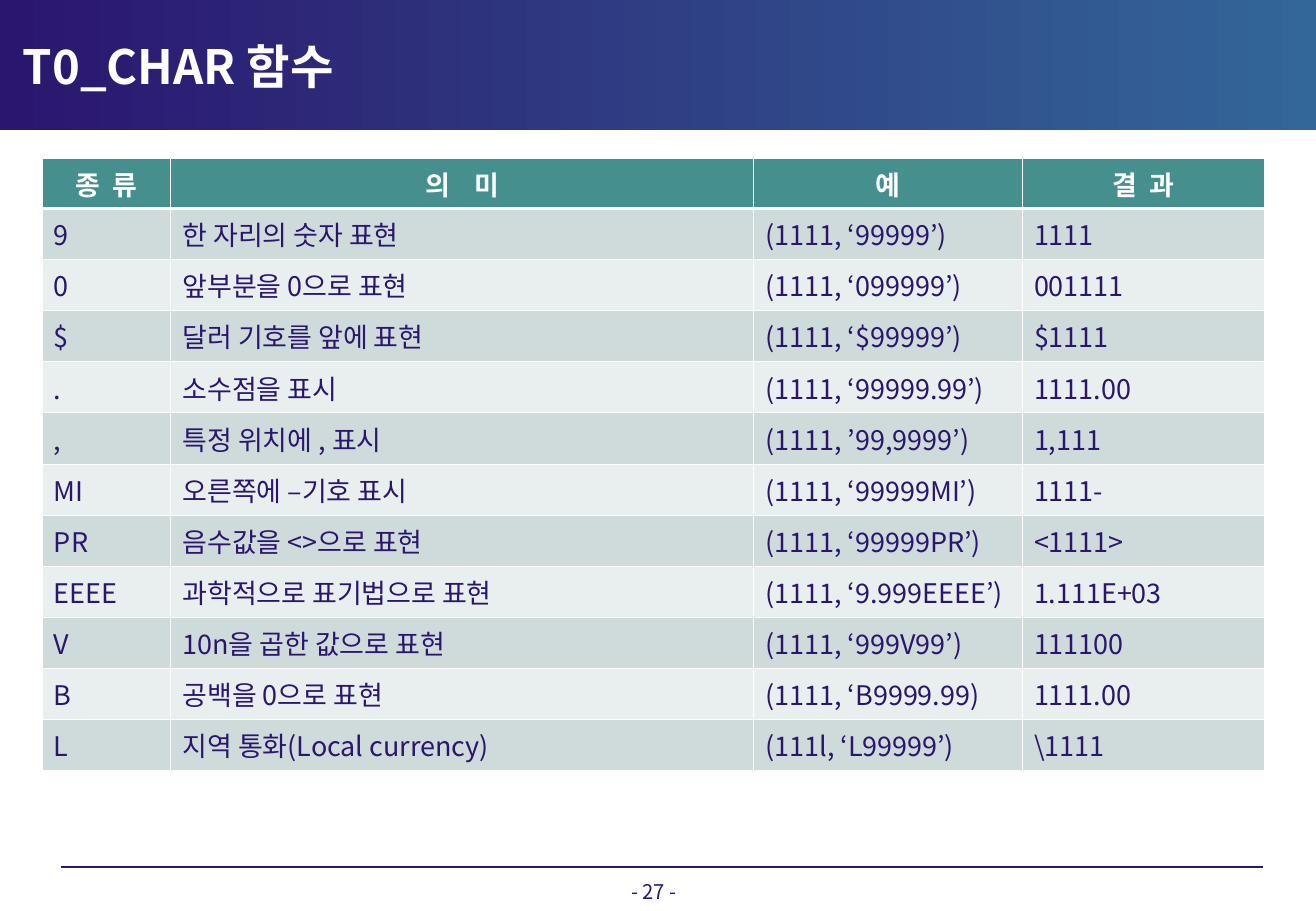
from lxml import etree
from pptx import Presentation
from pptx.dml.color import RGBColor
from pptx.enum.shapes import MSO_CONNECTOR, MSO_SHAPE
from pptx.enum.text import MSO_ANCHOR, PP_ALIGN
from pptx.oxml.ns import qn
from pptx.util import Pt

STRAIGHT = MSO_CONNECTOR.STRAIGHT
RECTANGLE = MSO_SHAPE.RECTANGLE
MIDDLE, TOP = MSO_ANCHOR.MIDDLE, MSO_ANCHOR.TOP
LEFT, CENTER = PP_ALIGN.LEFT, PP_ALIGN.CENTER

FONT = "Noto Sans CJK KR"
NAVY, BLUE, TEAL, WHITE = "2B166E", "336699", "458F8F", "FFFFFF"
BANDS = ["E9EEEE", "CFDBDB"]
THIN, THICK = 0.45, 1.47

COLUMN_WIDTHS = [76.3, 345.6, 159.1, 144]
HEADER_HEIGHT, ROW_HEIGHT = 29.7, 30.3
ROWS = [
    ("종  류", "의    미", "예", "결  과"),
    ("9", "한 자리의 숫자 표현", "(1111, ‘99999’)", "1111"),
    ("0", "앞부분을 0으로 표현", "(1111, ‘099999’)", "001111"),
    ("$", "달러 기호를 앞에 표현", "(1111, ‘$99999’)", "$1111"),
    (".", "소수점을 표시", "(1111, ‘99999.99’)", "1111.00"),
    (",", "특정 위치에 , 표시", "(1111, ’99,9999’)", "1,111"),
    ("MI", "오른쪽에 –기호 표시", "(1111, ‘99999MI’)", "1111-"),
    ("PR", "음수값을 <>으로 표현", "(1111, ‘99999PR’)", "<1111>"),
    ("EEEE", "과학적으로 표기법으로 표현", "(1111, ‘9.999EEEE’)", "1.111E+03"),
    ("V", "10n을 곱한 값으로 표현", "(1111, ‘999V99’)", "111100"),
    ("B", "공백을 0으로 표현", "(1111, ‘B9999.99)", "1111.00"),
    ("L", "지역 통화(Local currency)", "(111l, ‘L99999’)", "\\1111"),
]


def rgb(color):
    return RGBColor.from_string(color)


def write(text_frame, text, size, color, bold=False, alignment=LEFT):
    """Fill a text frame with one paragraph, Latin and Korean in the same font."""
    paragraph = text_frame.paragraphs[0]
    paragraph.text = text
    paragraph.alignment = alignment
    font = paragraph.font
    font.name, font.size, font.bold = FONT, Pt(size), bold
    font.color.rgb = rgb(color)
    properties = paragraph._p.pPr.find(qn("a:defRPr"))
    etree.SubElement(properties, qn("a:ea"), typeface=FONT)


presentation = Presentation()
presentation.slide_width, presentation.slide_height = Pt(780.13), Pt(540)
slide = presentation.slides.add_slide(presentation.slide_layouts[6])
shapes = slide.shapes

# Footer rule and title band
footer_line = shapes.add_connector(STRAIGHT, Pt(36), Pt(514), Pt(749), Pt(514))
footer_line.line.color.rgb = rgb(NAVY)
footer_line.line.width = Pt(0.75)
etree.SubElement(footer_line._element.spPr, qn("a:effectLst"))

title_band = shapes.add_shape(RECTANGLE, 0, 0, Pt(780), Pt(77))
title_band.shadow.inherit = False
title_band.line.fill.background()
title_band.fill.gradient()
title_band.fill.gradient_angle = 0
for stop, color in zip(title_band.fill.gradient_stops, (NAVY, BLUE)):
    stop.color.rgb = rgb(color)

# Page number and title
for text, box, size, color, bold, alignment, anchor in [
    ("- 27 -", (311, 517.7, 153.4, 15.8), 12, NAVY, False, CENTER, TOP),
    ("T0_CHAR 함수", (6.5, 16.6, 585.4, 44.6), 28, WHITE, True, LEFT, MIDDLE),
]:
    text_frame = shapes.add_textbox(*map(Pt, box)).text_frame
    text_frame.word_wrap = True
    text_frame.vertical_anchor = anchor
    write(text_frame, text, size, color, bold, alignment)

# Format table
table = shapes.add_table(
    len(ROWS), len(COLUMN_WIDTHS), Pt(24.8), Pt(93.9),
    Pt(sum(COLUMN_WIDTHS)), Pt(HEADER_HEIGHT + ROW_HEIGHT * (len(ROWS) - 1)),
).table
table.horz_banding = False
for column, width in zip(table.columns, COLUMN_WIDTHS):
    column.width = Pt(width)

for row_index, values in enumerate(ROWS):
    is_header = row_index == 0
    table.rows[row_index].height = Pt(HEADER_HEIGHT if is_header else ROW_HEIGHT)
    border_widths = {
        "a:lnL": THIN,
        "a:lnR": THIN,
        "a:lnT": THICK if row_index == 1 else THIN,
        "a:lnB": THICK if is_header else THIN,
    }
    for column_index, text in enumerate(values):
        cell = table.cell(row_index, column_index)
        cell.vertical_anchor = MIDDLE
        write(cell.text_frame, text, 16, WHITE if is_header else NAVY,
              is_header, CENTER if is_header else LEFT)
        cell_properties = cell._tc.get_or_add_tcPr()
        for tag, width in border_widths.items():
            border = etree.SubElement(cell_properties, qn(tag), w=str(Pt(width)))
            border_fill = etree.SubElement(border, qn("a:solidFill"))
            etree.SubElement(border_fill, qn("a:srgbClr"), val=WHITE)
        cell.fill.solid()
        cell.fill.fore_color.rgb = rgb(TEAL if is_header else BANDS[row_index % 2])

presentation.save("out.pptx")
